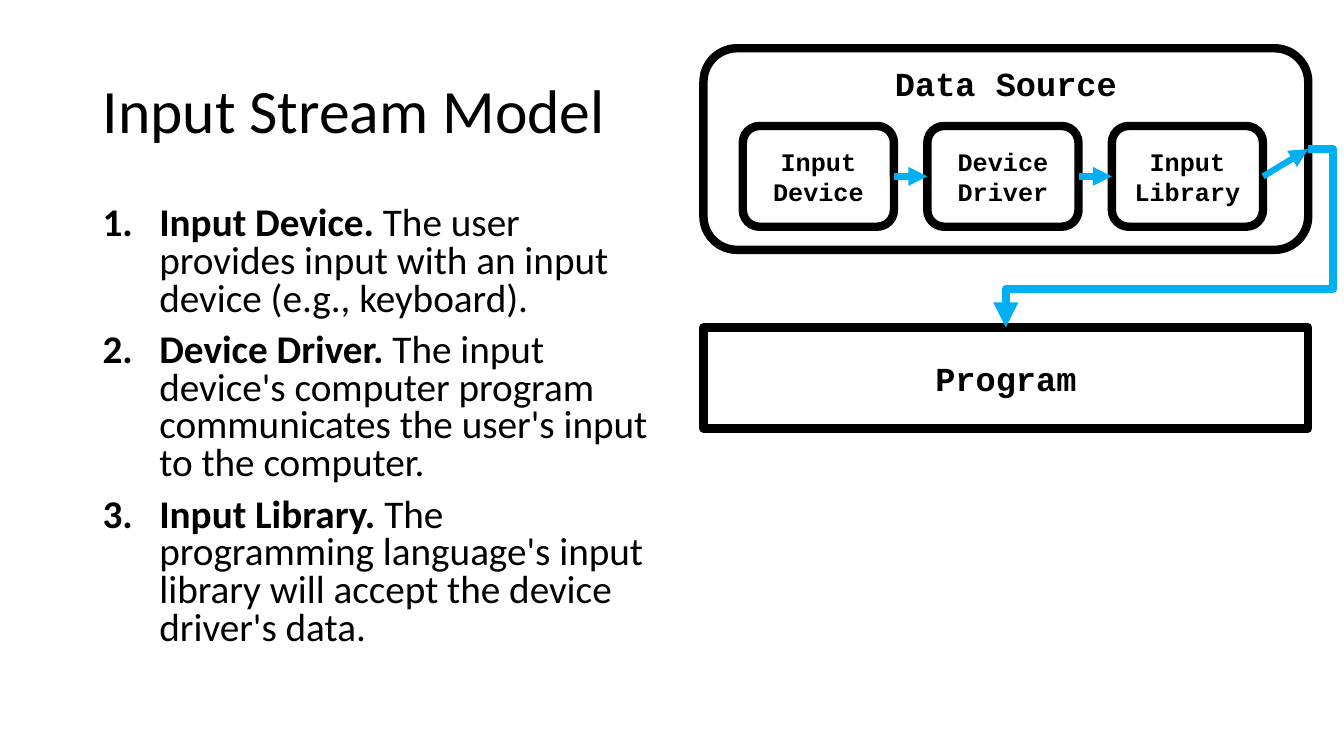
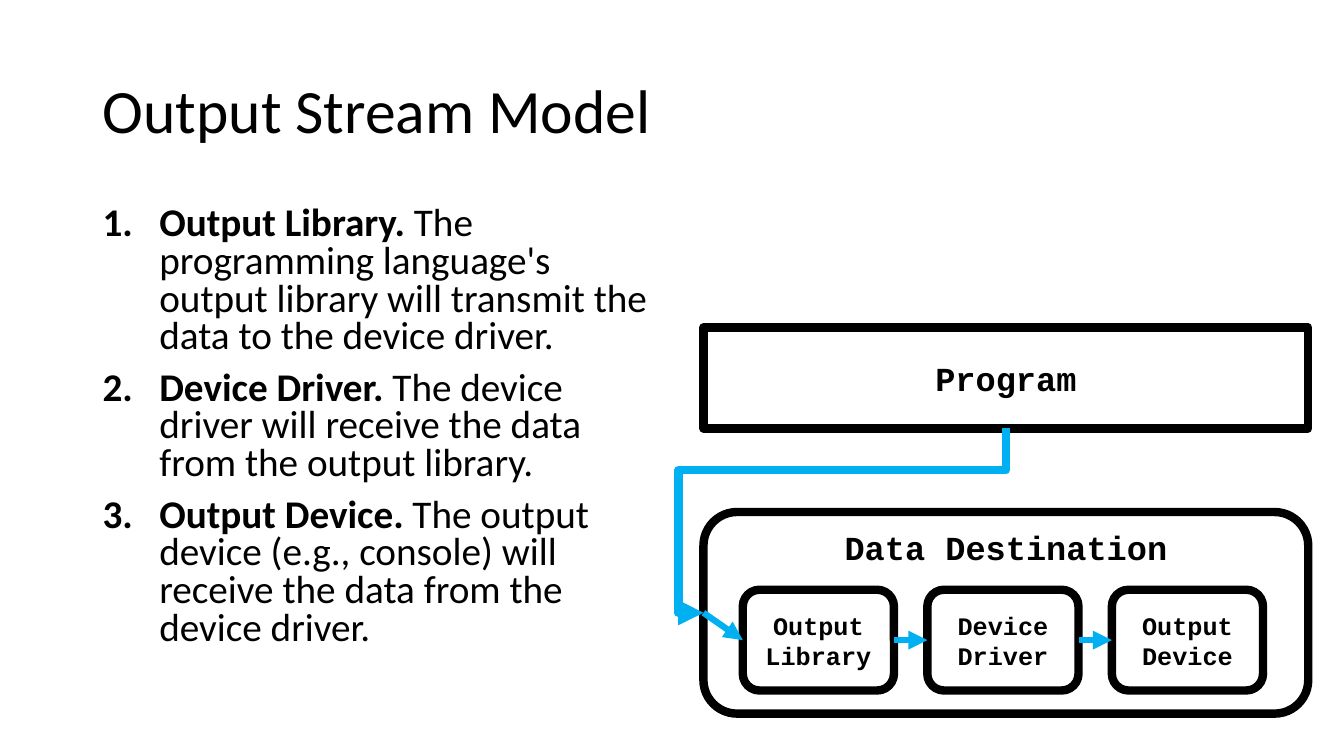
"""Build two slides on the input and output stream models."""
from dataclasses import dataclass

from lxml import etree
from pptx import Presentation
from pptx.dml.color import RGBColor
from pptx.enum.shapes import MSO_CONNECTOR as CONN, MSO_SHAPE as SHAPE
from pptx.enum.text import MSO_ANCHOR as ANCHOR, PP_ALIGN as ALIGN
from pptx.oxml.ns import qn
from pptx.util import Pt

COLORS = {"ink": "000000", "paper": "FFFFFF", "flow": "00B0F0"}
SANS, MONO = "Calibri", "Courier New"
TOP, LEFT, BOTTOM, RIGHT = range(4)

TEXT_X, TEXT_W = 66.25, 408.25
BOX_X, BOX_W = 502.5, 432
STAGE_W, STAGE_H, STAGE_DY = 108, 72, 55.5
STAGE_X, STAGE_PITCH = 530.6, 131.8
INDENT = 40.5


@dataclass(frozen=True)
class Stage:
    name: str
    text: str


@dataclass(frozen=True)
class Model:
    title: str
    group: str
    group_y: float
    stages: tuple[Stage, ...]
    feeds_program: bool
    bends: tuple[float, float]


MODELS = (
    Model("Input Stream Model", "Data Source", 34.5, (
        Stage("Input Device", "The user provides input with an input device (e.g., keyboard)."),
        Stage("Device Driver", "The input device's computer program communicates "
              "the user's input to the computer."),
        Stage("Input Library", "The programming language's input library will accept "
              "the device driver's data."),
    ), True, (-0.083, 0.783)),
    Model("Output Stream Model", "Data Destination", 365.75, (
        Stage("Output Library", "The programming language's output library will "
              "transmit the data to the device driver."),
        Stage("Device Driver", "The device driver will receive the data from the output library."),
        Stage("Output Device", "The output device (e.g., console) will receive "
              "the data from the device driver."),
    ), False, (0.227, 1.083)),
)


def color(name: str) -> RGBColor:
    return RGBColor.from_string(COLORS[name])


def write(sp, paragraphs, *, size, font=SANS, bold=False, align=ALIGN.LEFT,
          anchor=ANCHOR.TOP, spacing=None, before=0, numbered=False) -> None:
    """Fill a shape with paragraphs, each a sequence of runs; bold affects the first run."""
    tf = sp.text_frame
    tf.word_wrap = True
    tf.vertical_anchor = anchor
    for i, runs in enumerate(paragraphs):
        p = tf.add_paragraph() if i else tf.paragraphs[0]
        p.alignment = align
        if spacing:
            p.line_spacing = spacing
        if i and before:
            p.space_before = Pt(before)
        if numbered:
            pPr = p._p.get_or_add_pPr()
            pPr.set("marL", str(Pt(INDENT)))
            pPr.set("indent", str(-Pt(INDENT)))
            etree.SubElement(pPr, qn("a:buAutoNum"), type="arabicPeriod")
        for j, text in enumerate(runs):
            r = p.add_run()
            r.text = text
            r.font.name, r.font.size = font, Pt(size)
            r.font.bold = bold and j == 0
            r.font.color.rgb = color("ink")


def add_text(s, y: float, h: float, paragraphs, **fmt) -> None:
    sp = s.shapes.add_textbox(Pt(TEXT_X), Pt(y), Pt(TEXT_W), Pt(h))
    write(sp, paragraphs, **fmt)


def add_box(s, kind, x: float, y: float, w: float, h: float, lines,
            size: float = 24, anchor=ANCHOR.MIDDLE):
    sp = s.shapes.add_shape(kind, Pt(x), Pt(y), Pt(w), Pt(h))
    sp.shadow.inherit = False
    sp.fill.solid()
    sp.fill.fore_color.rgb = color("paper")
    sp.line.color.rgb = color("ink")
    sp.line.width = Pt(6)
    write(sp, [(line,) for line in lines], size=size, font=MONO, bold=True,
          align=ALIGN.CENTER, anchor=anchor)
    return sp


def add_arrow(s, start, start_side: int, end, end_side: int,
              kind=CONN.STRAIGHT, width: float = 4.5):
    c = s.shapes.add_connector(kind, 0, 0, 0, 0)
    c.begin_connect(start, start_side)
    c.end_connect(end, end_side)
    c.line.color.rgb = color("flow")
    c.line.width = Pt(width)
    spPr = c.element.spPr
    etree.SubElement(spPr.find(qn("a:ln")), qn("a:tailEnd"), type="triangle")
    etree.SubElement(spPr, qn("a:effectLst"))
    return c


def add_bent_arrow(s, start, start_side: int, end, end_side: int,
                   bends: tuple[float, float]) -> None:
    """Draw a three-bend arrow, turned a quarter when it leaves a bottom side."""
    c = add_arrow(s, start, start_side, end, end_side, CONN.ELBOW, 6)
    spPr = c.element.spPr
    geom = spPr.find(qn("a:prstGeom"))
    geom.set("prst", "bentConnector4")
    guides = geom.find(qn("a:avLst"))
    for i, bend in enumerate(bends, 1):
        etree.SubElement(guides, qn("a:gd"), name=f"adj{i}", fmla=f"val {round(bend * 100000)}")
    if start_side == BOTTOM:
        w, h = c.width, c.height
        c.left, c.top = c.left + (w - h) // 2, c.top + (h - w) // 2
        c.width, c.height = h, w
        xfrm = spPr.find(qn("a:xfrm"))
        xfrm.attrib.pop("flipH", None)
        xfrm.set("rot", str(90 * 60000))


def add_model(prs, model: Model) -> None:
    s = prs.slides.add_slide(prs.slide_layouts[6])
    add_text(s, 28.75, 104.5, [(model.title,)], size=44, anchor=ANCHOR.MIDDLE, spacing=0.9)
    add_text(s, 144, 342.75, [(f"{st.name}.", f" {st.text}") for st in model.stages],
             size=28, bold=True, spacing=0.8, before=10, numbered=True)

    program = add_box(s, SHAPE.RECTANGLE, BOX_X, 234, BOX_W, 72, ["Program"])
    group = add_box(s, SHAPE.ROUNDED_RECTANGLE, BOX_X, model.group_y, BOX_W, 144,
                    [model.group], anchor=ANCHOR.TOP)
    boxes = [add_box(s, SHAPE.ROUNDED_RECTANGLE, STAGE_X + i * STAGE_PITCH,
                     model.group_y + STAGE_DY, STAGE_W, STAGE_H, st.name.split(), size=18)
             for i, st in enumerate(model.stages)]

    for a, b in zip(boxes, boxes[1:]):
        add_arrow(s, a, RIGHT, b, LEFT)
    if model.feeds_program:
        add_arrow(s, boxes[-1], RIGHT, group, RIGHT)
        add_bent_arrow(s, group, RIGHT, program, TOP, model.bends)
    else:
        add_bent_arrow(s, program, BOTTOM, group, LEFT, model.bends)
        add_arrow(s, group, LEFT, boxes[0], LEFT)


def main() -> None:
    prs = Presentation()
    prs.slide_width, prs.slide_height = Pt(960), Pt(540)
    for model in MODELS:
        add_model(prs, model)
    prs.save("out.pptx")


if __name__ == "__main__":
    main()
